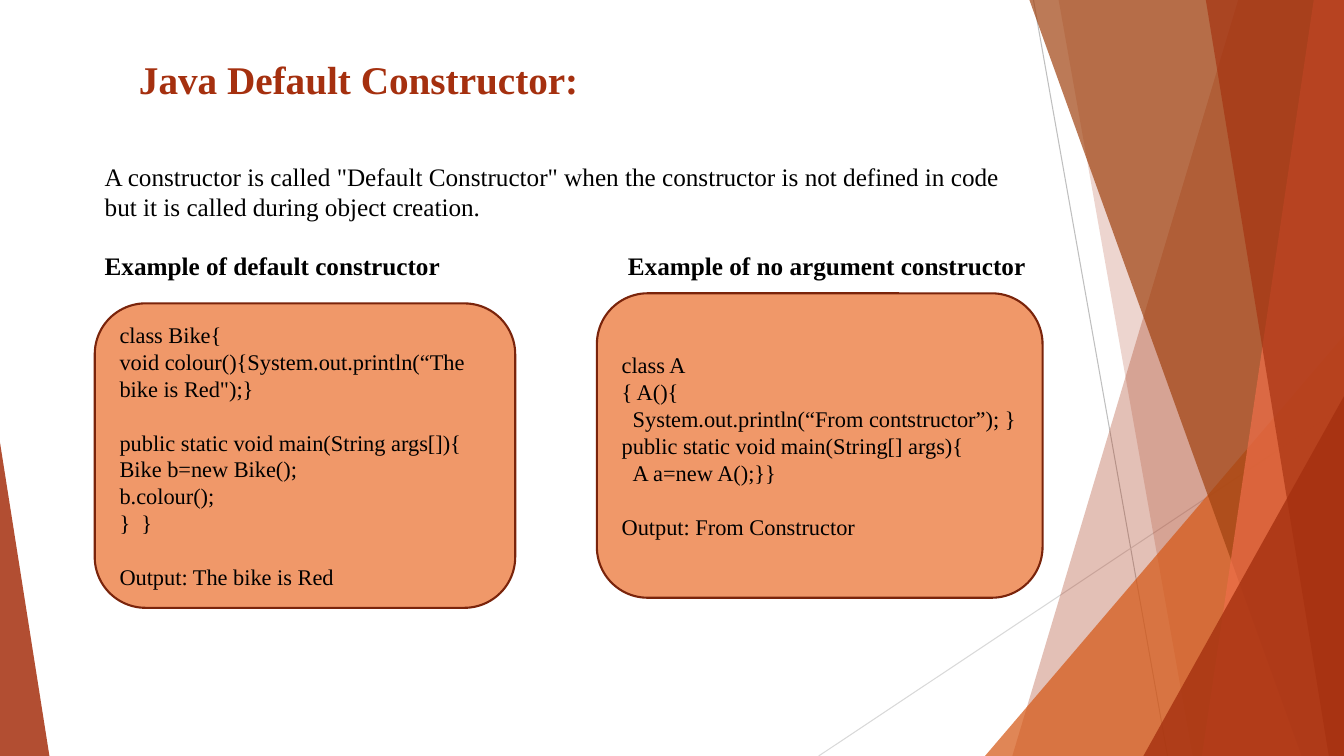
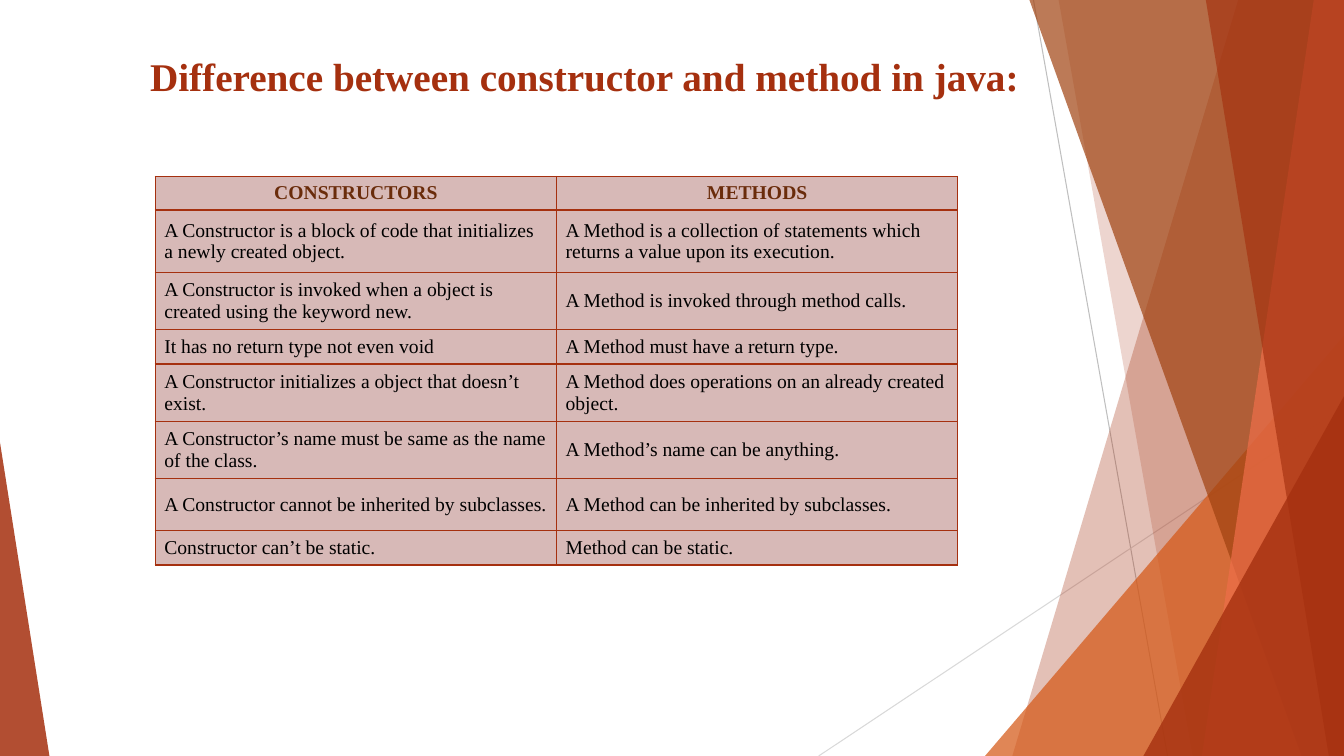
"""Build two slides on Java constructors with a shared faceted backdrop."""
from dataclasses import dataclass

from lxml import etree
from pptx import Presentation
from pptx.dml.color import RGBColor
from pptx.enum.shapes import MSO_CONNECTOR, MSO_SHAPE
from pptx.enum.text import MSO_ANCHOR, PP_ALIGN
from pptx.oxml.ns import qn
from pptx.shapes.autoshape import Shape
from pptx.slide import Slide
from pptx.table import _Cell
from pptx.text.text import TextFrame
from pptx.util import Pt

PX = 9144
WIDTH, HEIGHT = 1333, 750
FONT = "Times New Roman"
RUST, ORANGE, BROWN, CORAL = "A5300F", "D55816", "A04210", "EE6E4A"
BLACK, HEADER_BROWN = "000000", "6A2C0B"
CARD_FILL, CARD_LINE, CELL_FILL = "F09869", "7A240B", "D7B9B7"
LEFT, CENTER = PP_ALIGN.LEFT, PP_ALIGN.CENTER
TOP, MIDDLE = MSO_ANCHOR.TOP, MSO_ANCHOR.MIDDLE
TRIANGLE, ROUNDED = MSO_SHAPE.ISOSCELES_TRIANGLE, MSO_SHAPE.ROUNDED_RECTANGLE
STRAIGHT = MSO_CONNECTOR.STRAIGHT


@dataclass(frozen=True)
class Ray:
    start: tuple[int, int]
    end: tuple[int, int]
    color: str


@dataclass(frozen=True)
class Band:
    top_x: int
    bottom_x: int
    color: str
    opacity: int


@dataclass(frozen=True)
class Wedge:
    left: int
    top: int
    width: int
    apex: int
    color: str
    opacity: int


@dataclass(frozen=True)
class Line:
    text: str
    gap: bool = False
    indent: int = 0


@dataclass(frozen=True)
class Example:
    heading: str
    heading_left: int
    left: int
    top: int
    width: int
    lines: tuple[Line, ...]


RAYS = (
    Ray((1025, 0), (1158, HEIGHT), "BFBFBF"),
    Ray((WIDTH, 403), (812, HEIGHT), "D9D9D9"),
)
FACETS = (
    Band(1228, 1004, RUST, 30),
    Band(1050, 1183, RUST, 20),
    Wedge(977, 333, 356, 1, ORANGE, 72),
    Band(1021, 1291, BROWN, 70),
    Band(1303, 1192, CORAL, 70),
    Band(1196, 1318, RUST, 65),
    Wedge(1134, 393, 199, 1, RUST, 80),
    Wedge(0, 439, 49, 0, RUST, 85),
)
DEFINITION = (
    'A constructor is called "Default Constructor" when the constructor is not '
    "defined in code but it is called during object creation."
)
CARD_HEIGHT = 302
EXAMPLES = (
    Example("Example of default constructor", 94, 94, 301, 417, (
        Line("class Bike{"),
        Line('void colour(){System.out.println(“The bike is Red");}'),
        Line("public static void main(String args[]){", gap=True),
        Line("Bike b=new Bike();"),
        Line("b.colour();"),
        Line("}  }"),
        Line("Output: The bike is Red", gap=True),
    )),
    Example("Example of no argument constructor", 613, 592, 291, 442, (
        Line("class A"),
        Line("{ A(){"),
        Line("System.out.println(“From contstructor”); }", indent=11),
        Line("public static void main(String[] args){"),
        Line("A a=new A();}}", indent=11),
        Line("Output: From Constructor", gap=True),
    )),
)
COMPARISON = (
    ("CONSTRUCTORS", "METHODS"),
    ("A Constructor is a block of code that initializes a newly created object.",
     "A Method is a collection of statements which returns a value upon its execution."),
    ("A Constructor is invoked when a object is created using the keyword new.",
     "A Method is invoked through method calls."),
    ("It has no return type not even void", "A Method must have a return type."),
    ("A Constructor initializes a object that doesn’t exist.",
     "A Method does operations on an already created object."),
    ("A Constructor’s name must be same as the name of the class.",
     "A Method’s name can be anything."),
    ("A Constructor cannot be inherited by subclasses.",
     "A Method can be inherited by subclasses."),
    ("Constructor can’t be static.", "Method can be static."),
)
ROW_HEIGHTS = (32, 62, 52, 34, 52, 52, 52, 34)
COLUMN_WIDTH = 398


def rgb(color: str) -> RGBColor:
    """Turn a hex string into a colour."""
    return RGBColor.from_string(color)


def write(frame: TextFrame, *lines: Line, size: int, color: str = BLACK, bold: bool = False,
          align: PP_ALIGN = LEFT, anchor: MSO_ANCHOR = TOP, pitch: float | None = None) -> None:
    """Write one paragraph per line in a single format."""
    frame.word_wrap = True
    frame.vertical_anchor = anchor
    for index, line in enumerate(lines):
        para = frame.add_paragraph() if index else frame.paragraphs[0]
        para.alignment = align
        if pitch:
            para.line_spacing = Pt(pitch)
        if line.gap:
            para.space_before = Pt(pitch or size)
        if line.indent:
            para._p.get_or_add_pPr().set("marL", str(line.indent * PX))
        span = para.add_run()
        span.text = line.text
        span.font.name = FONT
        span.font.size = Pt(size)
        span.font.bold = bold
        span.font.color.rgb = rgb(color)


def add_text(page: Slide, text: str, left: int, top: int, width: int, height: int,
             **style) -> None:
    """Add a wrapped text box."""
    box = page.shapes.add_textbox(left * PX, top * PX, width * PX, height * PX)
    write(box.text_frame, Line(text), **style)


def paint(shape: Shape, color: str, opacity: int = 100, outline: str | None = None) -> None:
    """Set the fill, opacity and outline of a shape."""
    shape.shadow.inherit = False
    shape.fill.solid()
    shape.fill.fore_color.rgb = rgb(color)
    if opacity < 100:
        tint = shape.element.spPr.find(f".//{qn('a:srgbClr')}")
        etree.SubElement(tint, qn("a:alpha"), val=str(opacity * 1000))
    if outline:
        shape.line.color.rgb = rgb(outline)
        shape.line.width = Pt(1.5)
    else:
        shape.line.fill.background()


def add_ray(page: Slide, ray: Ray) -> None:
    """Draw a thin backdrop line."""
    ends = [value * PX for value in ray.start + ray.end]
    connector = page.shapes.add_connector(STRAIGHT, *ends)
    connector.line.color.rgb = rgb(ray.color)
    connector.line.width = Pt(0.75)
    etree.SubElement(connector.element.spPr, qn("a:effectLst"))


def add_facet(page: Slide, facet: Band | Wedge) -> None:
    """Draw a translucent backdrop band or wedge."""
    if isinstance(facet, Band):
        builder = page.shapes.build_freeform(facet.top_x, 0, scale=PX)
        builder.add_line_segments(((WIDTH, 0), (WIDTH, HEIGHT), (facet.bottom_x, HEIGHT)))
        shape = builder.convert_to_shape()
    else:
        shape = page.shapes.add_shape(TRIANGLE, facet.left * PX, facet.top * PX,
                                      facet.width * PX, (HEIGHT - facet.top) * PX)
        shape.adjustments[0] = facet.apex
    paint(shape, facet.color, facet.opacity)


def add_page(deck: Presentation, title: str, left: int, top: int) -> Slide:
    """Add a blank slide with the backdrop and a title."""
    page = deck.slides.add_slide(deck.slide_layouts[6])
    for ray in RAYS:
        add_ray(page, ray)
    for facet in FACETS:
        add_facet(page, facet)
    add_text(page, title, left, top, 902, 57, size=28, color=RUST, bold=True)
    return page


def add_example(page: Slide, example: Example) -> None:
    """Add a heading and its code card."""
    add_text(page, example.heading, example.heading_left, 244, 427, 40,
             size=18, bold=True, pitch=21.5)
    card = page.shapes.add_shape(ROUNDED, example.left * PX, example.top * PX,
                                 example.width * PX, CARD_HEIGHT * PX)
    paint(card, CARD_FILL, outline=CARD_LINE)
    write(card.text_frame, *example.lines, size=16, anchor=MIDDLE, pitch=19.2)


def format_cell(cell: _Cell, text: str, header: bool) -> None:
    """Set the borders, fill, margins and text of a table cell."""
    properties = cell._tc.get_or_add_tcPr()
    for side in ("lnL", "lnR", "lnT", "lnB"):
        border = etree.SubElement(properties, qn(f"a:{side}"), w=str(Pt(1)))
        fill = etree.SubElement(border, qn("a:solidFill"))
        etree.SubElement(fill, qn("a:srgbClr"), val=RUST)
    cell.fill.solid()
    cell.fill.fore_color.rgb = rgb(CELL_FILL)
    cell.margin_left = cell.margin_right = (5 if header else 9) * PX
    cell.margin_top = cell.margin_bottom = 5 * PX
    write(cell.text_frame, Line(text), size=14, bold=header,
          color=HEADER_BROWN if header else BLACK, align=CENTER if header else LEFT)
    cell.vertical_anchor = MIDDLE


def add_comparison(page: Slide, left: int, top: int) -> None:
    """Add the two-column comparison table."""
    columns = len(COMPARISON[0])
    table = page.shapes.add_table(len(COMPARISON), columns, left * PX, top * PX,
                                  columns * COLUMN_WIDTH * PX, sum(ROW_HEIGHTS) * PX).table
    table.first_row = table.horz_banding = False
    for column in table.columns:
        column.width = COLUMN_WIDTH * PX
    for row, height, texts in zip(table.rows, ROW_HEIGHTS, COMPARISON):
        row.height = height * PX
        for cell, text in zip(row.cells, texts):
            format_cell(cell, text, header=texts is COMPARISON[0])


def main() -> None:
    """Build and save the deck."""
    deck = Presentation()
    deck.slide_width, deck.slide_height = WIDTH * PX, HEIGHT * PX

    page = add_page(deck, "Java Default Constructor:", 128, 50)
    add_text(page, DEFINITION, 94, 155, 940, 70, size=18, pitch=21.5)
    for example in EXAMPLES:
        add_example(page, example)

    page = add_page(deck, "Difference between constructor and method in java:", 139, 47)
    add_comparison(page, 154, 175)

    deck.save("out.pptx")


if __name__ == "__main__":
    main()
